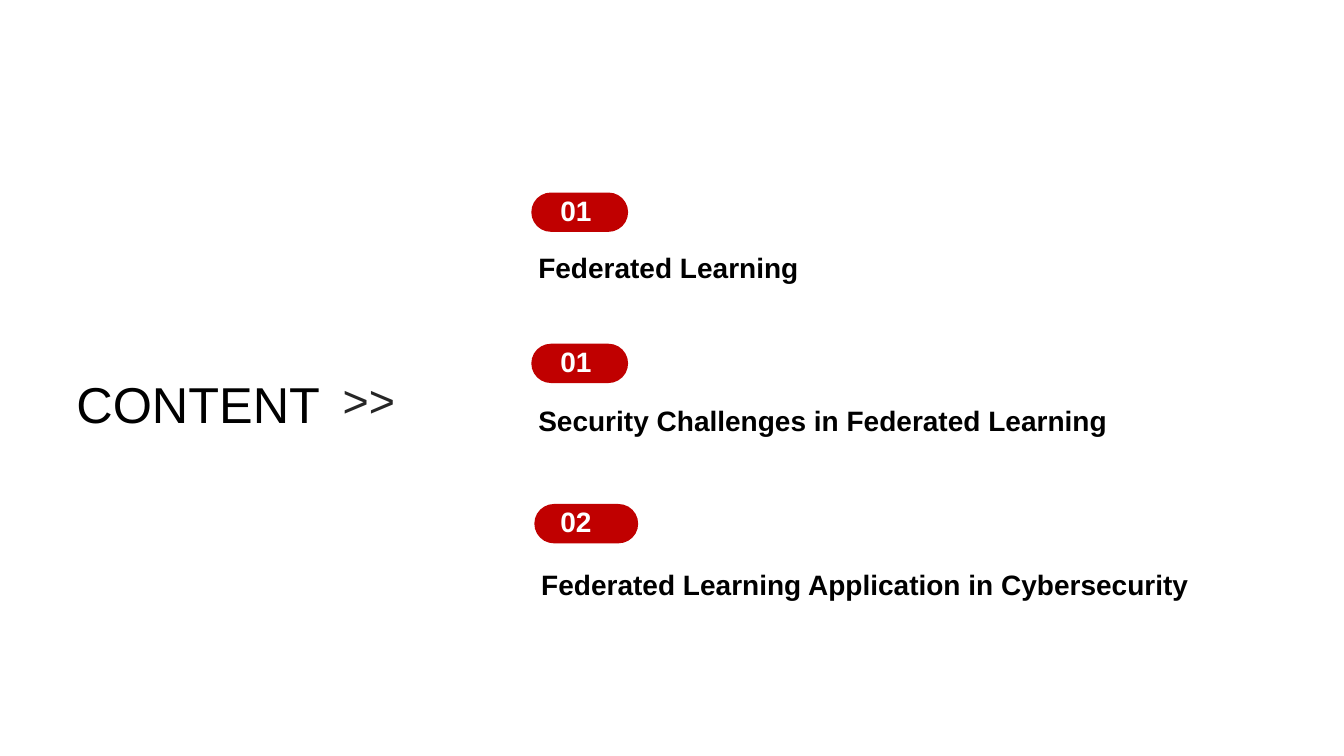
from lxml import etree
from pptx import Presentation
from pptx import util as u
from pptx.dml.color import RGBColor
from pptx.enum import shapes, text
from pptx.oxml.ns import qn

HUES = {"red": "C00000", "white": "FFFFFF", "black": "000000", "gray": "262626"}
LABEL = {"size": u.Pt(20), "bold": True, "name": "Arial"}
HEAD = {"size": u.Pt(36), "bold": False, "name": "Arial"}
MARK = {"size": u.Pt(32), "bold": False, "name": "Arial"}

# title, number, pill left, pill top, pill width, title drop, title width,
# number width, whether a slash follows the pill
ITEMS = [
    ("Security Challenges in Federated Learning", "01", 5.27, 3.41, 0.96, 0.54, 5.88, 0.51, True),
    ("Federated Learning Application in Cybersecurity", "02", 5.3, 5, 1.03, 0.58, 6.67, 0.58, False),
    ("Federated Learning", "01", 5.27, 1.91, 0.96, 0.53, 5.88, 0.51, True),
]


def hue(name):
    return RGBColor.from_string(HUES[name])


def inches(*sizes):
    return [u.Inches(size) for size in sizes]


def write(shape, words, style, color, wrap):
    frame = shape.text_frame
    format = {
        "word_wrap": wrap,
        "auto_size": text.MSO_AUTO_SIZE.SHAPE_TO_FIT_TEXT,
        "vertical_anchor": text.MSO_ANCHOR.TOP,
    }
    for key, value in format.items():
        setattr(frame, key, value)
    line = frame.paragraphs[0]
    line.alignment = text.PP_ALIGN.LEFT
    run = line.add_run()
    run.text = words
    for key, value in style.items():
        setattr(run.font, key, value)
    run.font.color.rgb = hue(color)


def add_text(group, box, words, style, color, wrap=False):
    write(group.shapes.add_textbox(*inches(*box)), words, style, color, wrap)


def add_block(group, kind, box, color):
    block = group.shapes.add_shape(kind, *inches(*box))
    block.shadow.inherit = False
    block.fill.solid()
    block.fill.fore_color.rgb = hue(color)
    block.line.fill.background()
    return block


def add_slash(group, left, top):
    """Draw the thin slanted line that follows a pill."""
    slash = group.shapes.add_connector(
        shapes.MSO_CONNECTOR.STRAIGHT, *inches(left + 0.22, top, left, top + 0.24))
    slash.line.color.rgb = hue("white")
    slash.line.width = u.Pt(1)
    etree.SubElement(slash.element.spPr, qn("a:effectLst"))


def add_item(slide, title, number, left, top, width, drop, span, room, slash):
    group = slide.shapes.add_group_shape()
    add_text(group, (left - 0.03, top + drop, span, 0.44), title, LABEL, "black", slash)
    pill = add_block(group, shapes.MSO_SHAPE.ROUNDED_RECTANGLE,
                     (left, top, width, 0.39), "red")
    pill.adjustments[0] = 0.5
    add_text(group, (5.46, top - 0.04, room, 0.44), number, LABEL, "white", not slash)
    if slash:
        add_slash(group, left + width, top + 0.06)


def add_heading(slide):
    group = slide.shapes.add_group_shape()
    block = add_block(group, shapes.MSO_SHAPE.RECTANGLE, (0.66, 3.65, 2.64, 0.71), "white")
    write(block, "CONTENT", HEAD, "black", False)
    add_text(group, (3.3, 3.65, 0.73, 0.64), ">>", MARK, "gray")


def main():
    deck = Presentation()
    deck.slide_width, deck.slide_height = inches(13.33, 7.5)
    slide = deck.slides.add_slide(deck.slide_layouts[6])
    for item in ITEMS:
        add_item(slide, *item)
    add_heading(slide)
    deck.save("out.pptx")


if __name__ == "__main__":
    main()
